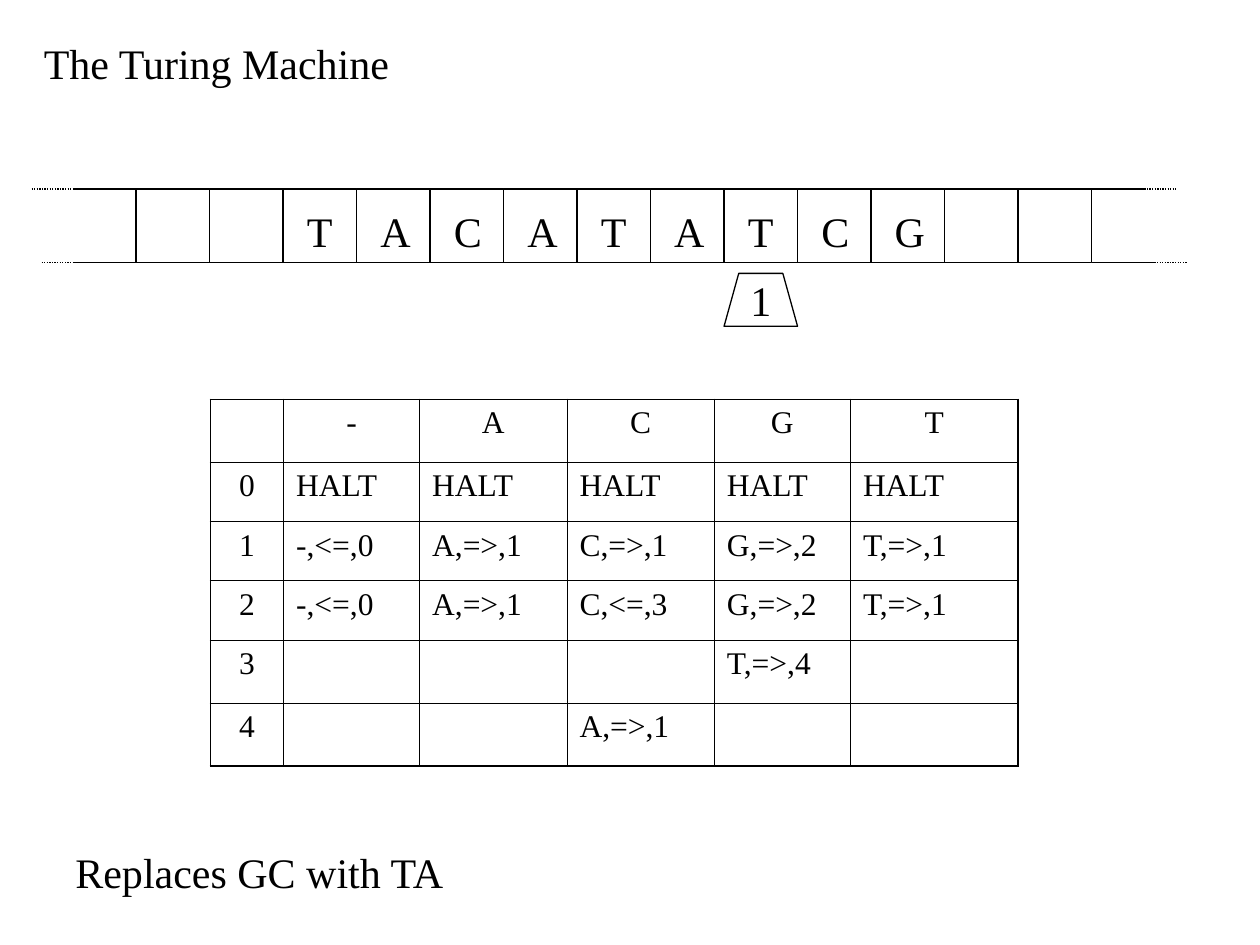
"""Build the Turing machine slide."""
import dataclasses

import pptx
import pptx.dml.color
import pptx.enum.dml
import pptx.enum.shapes
import pptx.enum.text
import pptx.oxml
import pptx.oxml.ns
import pptx.util

Inches, Pt = pptx.util.Inches, pptx.util.Pt
qn = pptx.oxml.ns.qn
SHAPE = pptx.enum.shapes.MSO_SHAPE
ALIGN = pptx.enum.text.PP_ALIGN
DOTTED = pptx.enum.dml.MSO_LINE.ROUND_DOT


@dataclasses.dataclass(frozen=True)
class Theme:
    font: str = "Times New Roman"
    ink: str = "000000"
    body: float = 24
    table: float = 18
    line: float = 0.74
    outer: float = 1.08
    inner: float = 0.45


THEME = Theme()
INK = pptx.dml.color.RGBColor.from_string(THEME.ink)
CELL = 7 / 12
TAPE_LEFT, TAPE_TOP, TAPE_CELLS = 1.08, 1.5, 13
LETTERS, FIRST_LETTER, HEAD_CELL = "TACATATCG", 2, 8
LETTER_WIDTHS = {"T": 0.4, "A": 0.44, "C": 0.42, "G": 0.44}
TAPE_ENDS = [
    (1.08, 0.58, 0, None), (1.08, 0.58, 1, None),
    (9.08, 8.58, 0, None), (9.17, 8.67, 1, None),
    (0.25, 0.58, 0, DOTTED), (0.33, 0.67, 1, DOTTED),
    (9, 9.33, 0, DOTTED), (9.08, 9.42, 1, DOTTED),
]
COLUMNS = [0.58, 1.08, 1.17, 1.17, 1.08, 1.33]
ROWS = [0.5, 0.47, 0.47, 0.47, 0.5, 0.5]
RULES = [
    ["", "-", "A", "C", "G", "T"],
    ["0"] + ["HALT"] * 5,
    ["1", "-,<=,0", "A,=>,1", "C,=>,1", "G,=>,2", "T,=>,1"],
    ["2", "-,<=,0", "A,=>,1", "C,<=,3", "G,=>,2", "T,=>,1"],
    ["3", "", "", "", "T,=>,4", ""],
    ["4", "", "", "A,=>,1", "", ""],
]


def apply(target, formats):
    """Set each attribute named in a dict of format values."""
    for name, value in formats.items():
        setattr(target, name, value)


def write(tf, text, size, **paragraph):
    """Write one formatted paragraph into a text frame."""
    p = tf.paragraphs[0]
    apply(p, paragraph)
    r = p.add_run()
    r.text = text
    apply(r.font, {"name": THEME.font, "size": Pt(size)})
    r.font.color.rgb = INK


def draw_line(line, dash=None):
    """Give a line the tape's colour and width."""
    line.color.rgb = INK
    apply(line, {"width": Pt(THEME.line), "dash_style": dash})


def add_label(s, text, left, top, width):
    """Add an unwrapped line of body text."""
    sp = s.shapes.add_textbox(*map(Inches, (left, top, width, 0.5)))
    apply(sp.text_frame, {"word_wrap": False,
                          "auto_size": pptx.enum.text.MSO_AUTO_SIZE.SHAPE_TO_FIT_TEXT})
    write(sp.text_frame, text, THEME.body)


def add_outline(s, kind, left, top, width, height):
    """Add an unfilled outlined shape."""
    sp = s.shapes.add_shape(kind, *map(Inches, (left, top, width, height)))
    sp.shadow.inherit = False
    sp.fill.background()
    draw_line(sp.line)
    return sp


def add_tape_end(s, start, end, y, dash):
    """Add a horizontal line at one end of the tape."""
    sp = s.shapes.add_connector(pptx.enum.shapes.MSO_CONNECTOR.STRAIGHT,
                                *map(Inches, (start, y, end, y)))
    draw_line(sp.line, dash)
    pptx.oxml.ns.qn
    sp.line._get_or_add_ln().getparent().append(
        pptx.oxml.parse_xml('<a:effectLst xmlns:a="http://schemas.openxmlformats.org/drawingml/2006/main"/>'))


def add_tape(s):
    """Add the tape cells, their ends and their letters."""
    for i in range(TAPE_CELLS):
        add_outline(s, SHAPE.RECTANGLE, TAPE_LEFT + i * CELL, TAPE_TOP, CELL, CELL)
    for start, end, edge, dash in TAPE_ENDS:
        add_tape_end(s, start, end, TAPE_TOP + edge * CELL, dash)
    for i, letter in enumerate(LETTERS, FIRST_LETTER):
        add_label(s, letter, TAPE_LEFT + i * CELL + 0.09, 1.58, LETTER_WIDTHS[letter])


def add_head(s):
    """Add the read head with its upright state number."""
    sp = add_outline(s, SHAPE.FLOWCHART_MANUAL_OPERATION,
                     TAPE_LEFT + HEAD_CELL * CELL, 2.17, CELL, 0.42)
    sp._element.spPr.find(qn("a:xfrm")).set("flipV", "1")
    tf = sp.text_frame
    apply(tf, {"word_wrap": False, "vertical_anchor": pptx.enum.text.MSO_ANCHOR.MIDDLE})
    tf._txBody.find(qn("a:bodyPr")).set("rot", "10800000")
    write(tf, "1", THEME.body, alignment=ALIGN.CENTER)


def set_borders(cell, widths):
    """Draw the four borders of a table cell."""
    tcPr = cell._tc.get_or_add_tcPr()
    for side, width in widths.items():
        ln = pptx.oxml.parse_xml(
            '<a:ln%s xmlns:a="http://schemas.openxmlformats.org/drawingml/2006/main" w="%d">'
            '<a:solidFill><a:srgbClr val="%s"/></a:solidFill></a:ln%s>'
            % (side, Pt(width), THEME.ink, side))
        tcPr.append(ln)


def add_rules(s):
    """Add the table of state transitions."""
    table = s.shapes.add_table(len(ROWS), len(COLUMNS), Inches(1.67), Inches(3.17),
                               Inches(sum(COLUMNS)), Inches(sum(ROWS))).table
    apply(table, {"first_row": False, "horz_banding": False})
    for column, width in zip(table.columns, COLUMNS):
        column.width = Inches(width)
    last_row, last_column = len(ROWS) - 1, len(COLUMNS) - 1
    for i, (row, height) in enumerate(zip(table.rows, ROWS)):
        row.height = Inches(height)
        for j, cell in enumerate(row.cells):
            edges = {"L": j == 0, "R": j == last_column, "T": i == 0, "B": i == last_row}
            set_borders(cell, {k: THEME.outer if v else THEME.inner for k, v in edges.items()})
            cell.fill.background()
            if RULES[i][j]:
                heading = i == 0 or j == 0
                write(cell.text_frame, RULES[i][j], THEME.table, space_before=Pt(4.5),
                      alignment=ALIGN.CENTER if heading else ALIGN.LEFT)


def main():
    """Build and save the slide."""
    prs = pptx.Presentation()
    apply(prs, {"slide_width": Inches(10), "slide_height": Inches(7.5)})
    s = prs.slides.add_slide(prs.slide_layouts[6])
    add_label(s, "The Turing Machine", 0.25, 0.25, 2.96)
    add_tape(s)
    add_head(s)
    add_rules(s)
    add_label(s, "Replaces GC with TA", 0.5, 6.67, 3.15)
    prs.save("out.pptx")


main()
